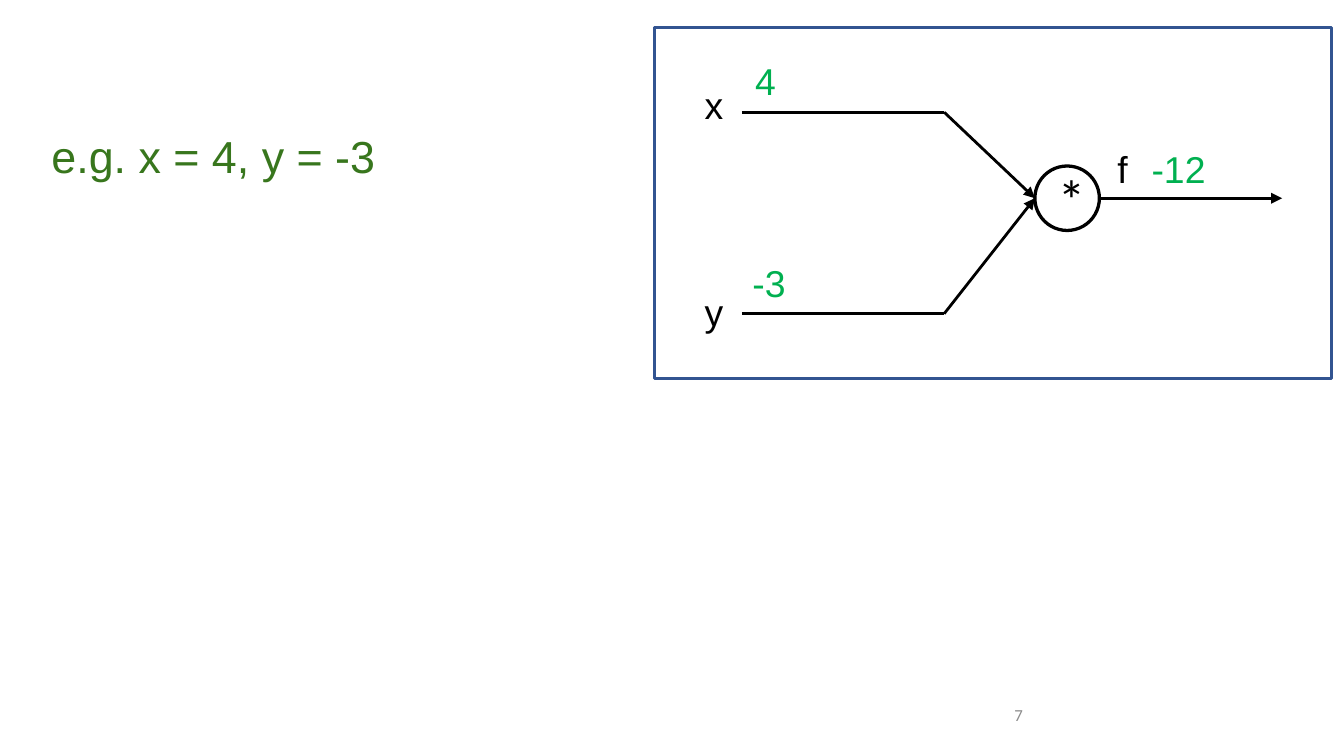
from dataclasses import dataclass

from lxml.etree import SubElement
from pptx import Presentation
from pptx.dml.color import RGBColor
from pptx.enum.shapes import MSO_CONNECTOR, MSO_SHAPE
from pptx.enum.text import MSO_ANCHOR, PP_ALIGN
from pptx.oxml.ns import qn
from pptx.util import Pt

PX = 4572  # 200 px to the inch


@dataclass(frozen=True)
class Theme:
    ink: str = "000000"
    value: str = "00B050"
    example: str = "38761D"
    frame: str = "325491"
    muted: str = "8C8C8C"
    body_font: str = "Arial"
    symbol_font: str = "Calibri"
    example_size: int = 24
    label_size: int = 20
    operator_size: int = 30
    number_size: int = 9
    wire: float = 1.5
    node: float = 1.75


T = Theme()


def px(*lengths):
    return [n * PX for n in lengths]


def set_text(shape, text, size, color, font=T.body_font, align=PP_ALIGN.LEFT):
    tf = shape.text_frame
    tf.word_wrap = True
    p = tf.paragraphs[0]
    p.text = text
    p.alignment = align
    r = p.runs[0]
    r.font.size = Pt(size)
    r.font.name = font
    r.font.color.rgb = RGBColor.from_string(color)
    return tf


def add_label(shapes, x, y, w, h, text, color, size=T.label_size):
    return set_text(shapes.add_textbox(*px(x, y, w, h)), text, size, color)


def add_outline(shapes, kind, x, y, w, h, color, width):
    sp = shapes.add_shape(kind, *px(x, y, w, h))
    sp.shadow.inherit = False
    sp.fill.background()
    sp.line.color.rgb = RGBColor.from_string(color)
    sp.line.width = Pt(width)
    return sp


def add_wire(shapes, x1, y1, x2, y2, arrow=False):
    line = shapes.add_connector(MSO_CONNECTOR.STRAIGHT, *px(x1, y1, x2, y2))
    line.line.color.rgb = RGBColor.from_string(T.ink)
    line.line.width = Pt(T.wire)
    if arrow:
        SubElement(line.line._get_or_add_ln(), qn("a:tailEnd"), type="triangle")
    SubElement(line._element.spPr, qn("a:effectLst"))


def add_example(s, x, y, w, h):
    tf = add_label(s.shapes, x, y, w, h, "e.g. x = 4, y = -3", T.example, T.example_size)
    tf.margin_top = tf.margin_bottom = 20 * PX


def add_graph(s, x, y, w, h):
    shapes = s.shapes.add_group_shape().shapes
    add_outline(shapes, MSO_SHAPE.RECTANGLE, x, y, w, h, T.frame, T.wire)

    # Multiplication node
    d = 96
    node_x, node_y = x + 566, y + 206
    mid_y = node_y + d // 2
    node = add_outline(shapes, MSO_SHAPE.OVAL, node_x, node_y, d, d, T.ink, T.node)
    tf = set_text(node, "*", T.operator_size, T.ink, T.symbol_font, PP_ALIGN.CENTER)
    tf.vertical_anchor = MSO_ANCHOR.MIDDLE

    # Inputs: a level wire, then an arrow into the node
    start, bend = x + 130, x + 431
    inputs = [("x", "4", 126, 72, 36, 0), ("y", "-3", 426, 380, 337, -4)]
    for name, value, wire_y, name_y, value_y, shift in inputs:
        add_wire(shapes, start, y + wire_y, bend, y + wire_y)
        add_wire(shapes, bend, y + wire_y, node_x, mid_y, arrow=True)
        add_label(shapes, x + 55, y + name_y, 68, 88, name, T.ink)
        add_label(shapes, start + shift, y + value_y, 154, 88, value, T.value)

    # Output
    out_x = node_x + d
    add_wire(shapes, out_x, mid_y, out_x + 272, mid_y, arrow=True)
    add_label(shapes, out_x + 7, mid_y - 88, 56, 88, "f", T.ink)
    add_label(shapes, out_x + 58, mid_y - 88, 154, 88, "-12", T.value)


def add_page_number(s, x, y, w, h):
    box = s.shapes.add_textbox(*px(x, y, w, h))
    tf = set_text(box, "7", T.number_size, T.muted, T.symbol_font, PP_ALIGN.RIGHT)
    tf.vertical_anchor = MSO_ANCHOR.MIDDLE


def main():
    prs = Presentation()
    prs.slide_width, prs.slide_height = px(2000, 1125)
    s = prs.slides.add_slide(prs.slide_layouts[6])
    add_page_number(s, 1422, 1021, 120, 86)
    add_example(s, 57, 171, 792, 130)
    add_graph(s, 974, 41, 1008, 522)
    prs.save("out.pptx")


if __name__ == "__main__":
    main()
